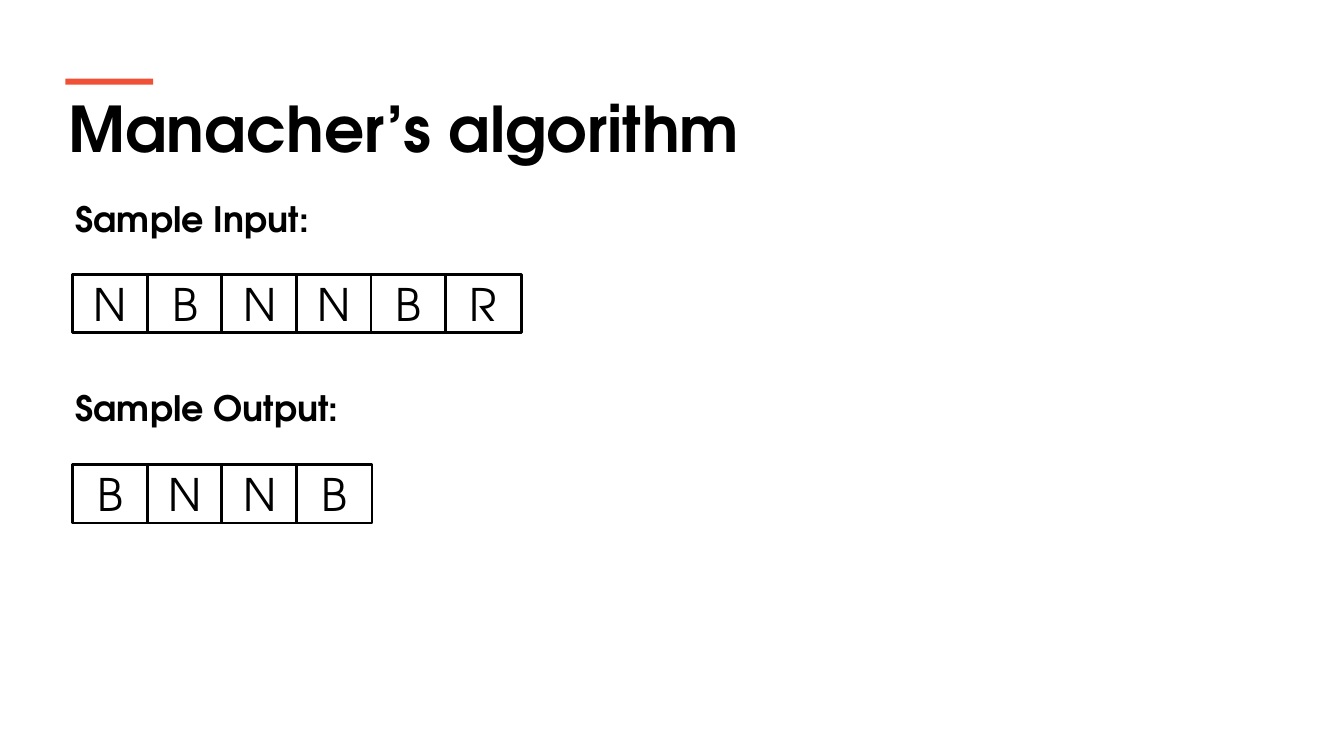
import pptx
import pptx.util
import pptx.dml.color
import pptx.enum.shapes
import pptx.enum.text
from dataclasses import dataclass
from lxml import etree

# Content
TITLE = "Manacher’s algorithm"
LABELS = ["Sample Input:", "Sample Output:"]
ROWS = [("NBNNBR", 272), ("BNNB", 461)]  # letters, top in px

# Geometry in px, 100 to the inch
SLIDE = (1333, 750)
TITLE_BOX = (58, 84, 1234, 86)
BODY_BOX = (65, 170, 1201, 320)
ACCENT_BAR = (65, 78, 87, 6)
ROW_LEFT, CELL_PITCH, CELL_W, CELL_H = 72, 74, 75, 58


@dataclass(frozen=True)
class Theme:
    font: str = "TeX Gyre Adventor"
    ink: str = "000000"
    paper: str = "FFFFFF"
    accent: str = "F05136"
    title: int = 45
    label: int = 25
    letter: int = 32
    outline: int = 2
    label_gap: int = 90


THEME = Theme()
ALIGN = pptx.enum.text.PP_ALIGN
ANCHOR = pptx.enum.text.MSO_ANCHOR


def px(n):
    return pptx.util.Emu(n * 9144)


def rgb(code):
    return pptx.dml.color.RGBColor.from_string(code)


def put_text(sp, lines, size, bold=False, align=ALIGN.LEFT, anchor=ANCHOR.TOP,
             spacing=1.0, gap=0):
    tf = sp.text_frame
    tf.word_wrap = True
    tf.auto_size = pptx.enum.text.MSO_AUTO_SIZE.NONE
    tf.vertical_anchor = anchor
    for i, line in enumerate(lines):
        p = tf.paragraphs[0] if i == 0 else tf.add_paragraph()
        pPr = p._p.get_or_add_pPr()
        pPr.set("marL", "0")
        pPr.set("indent", "0")
        etree.SubElement(pPr, pptx.oxml.ns.qn("a:buNone"))
        p.alignment = align
        p.line_spacing = spacing
        p.space_before = pptx.util.Pt(gap if i else 0)
        r = p.add_run()
        r.text = line
        r.font.name = THEME.font
        r.font.size = pptx.util.Pt(size)
        r.font.bold = bold
        r.font.color.rgb = rgb(THEME.ink)


def place(sp, box):
    sp.left, sp.top, sp.width, sp.height = map(px, box)


def add_rect(shapes, box, fill, line=None):
    sp = shapes.add_shape(pptx.enum.shapes.MSO_SHAPE.RECTANGLE, *map(px, box))
    sp.shadow.inherit = False
    sp.fill.solid()
    sp.fill.fore_color.rgb = rgb(fill)
    if line:
        sp.line.color.rgb = rgb(line)
        sp.line.width = pptx.util.Pt(THEME.outline)
    else:
        sp.line.fill.background()
    return sp


def main():
    prs = pptx.Presentation()
    prs.slide_width, prs.slide_height = map(px, SLIDE)
    s = prs.slides.add_slide(prs.slide_layouts[1])

    # Title and labels
    title, body = s.shapes.title, s.placeholders[1]
    place(title, TITLE_BOX)
    put_text(title, [TITLE], THEME.title, bold=True)
    place(body, BODY_BOX)
    put_text(body, LABELS, THEME.label, bold=True, spacing=1.5,
             gap=THEME.label_gap)
    add_rect(s.shapes, ACCENT_BAR, THEME.accent)

    # Letter rows
    for letters, top in ROWS:
        row = s.shapes.add_group_shape()
        for i, letter in enumerate(letters):
            box = (ROW_LEFT + i * CELL_PITCH, top, CELL_W, CELL_H)
            cell = add_rect(row.shapes, box, THEME.paper, THEME.ink)
            put_text(cell, [letter], THEME.letter, align=ALIGN.CENTER,
                     anchor=ANCHOR.MIDDLE)

    prs.save("out.pptx")


if __name__ == "__main__":
    main()
